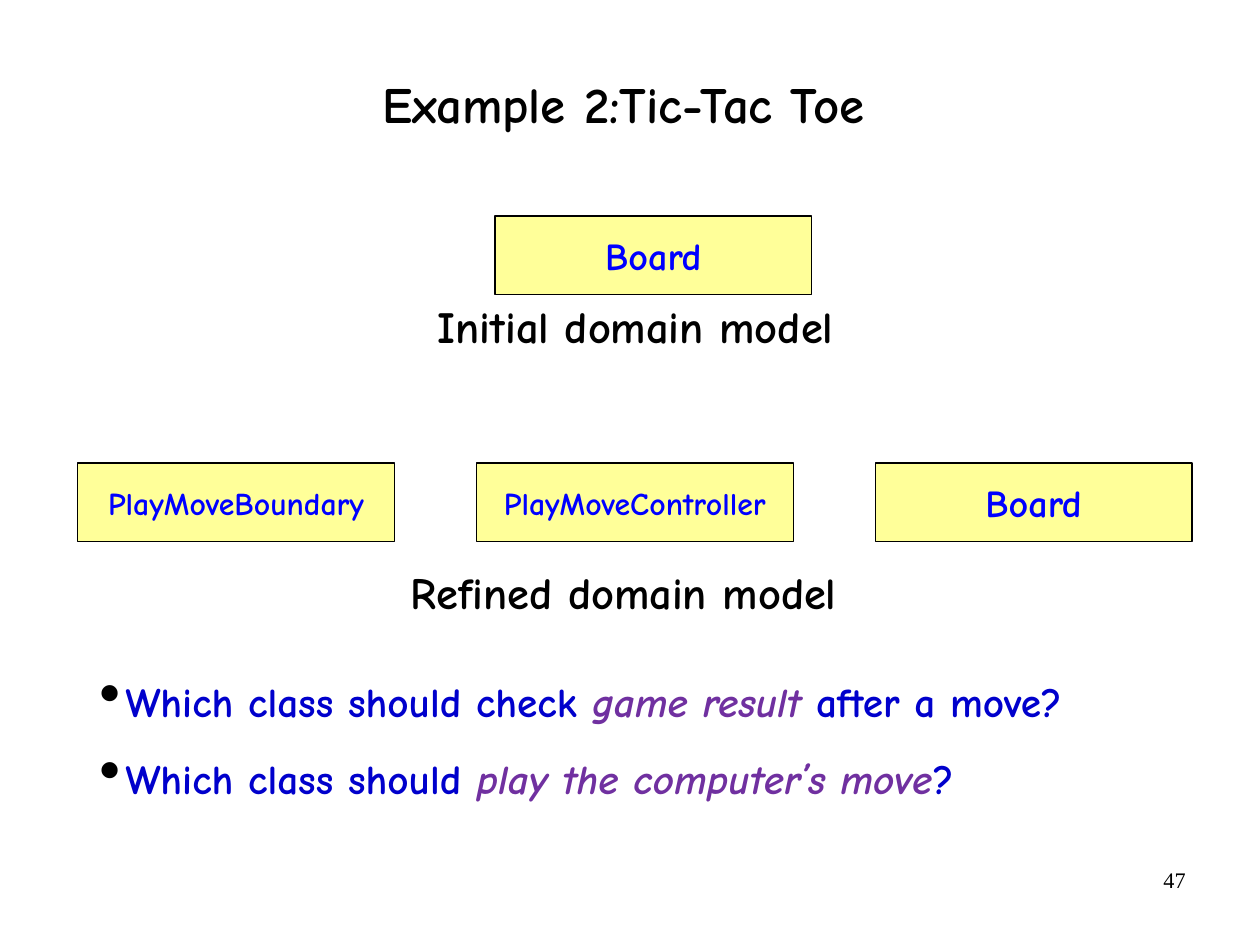
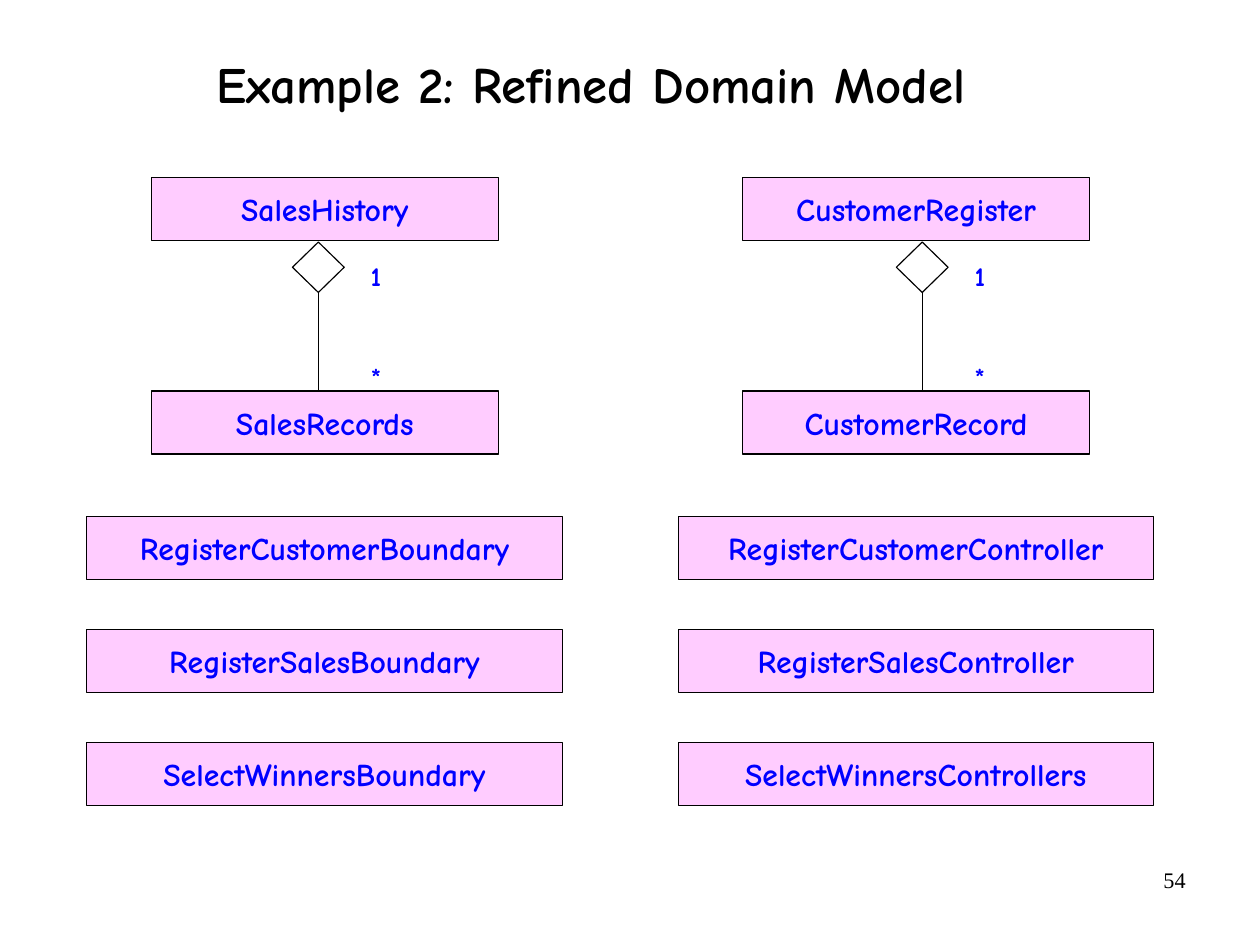
"""Build two slides on refining domain models."""
from dataclasses import dataclass

from lxml import etree
from pptx import Presentation
from pptx import util as u
from pptx.dml.color import RGBColor
from pptx.enum import shapes, text
from pptx.oxml.ns import qn


@dataclass(frozen=True)
class Theme:
    font: str = "Comic Neue"
    number_font: str = "Times New Roman"
    black: RGBColor = RGBColor(0x00, 0x00, 0x00)
    blue: RGBColor = RGBColor(0x00, 0x00, 0xFF)
    question: RGBColor = RGBColor(0x00, 0x00, 0xCC)
    purple: RGBColor = RGBColor(0x70, 0x30, 0xA0)
    yellow: RGBColor = RGBColor(0xFF, 0xFF, 0x99)
    pink: RGBColor = RGBColor(0xFF, 0xCC, 0xFF)
    title_size: int = 32
    caption_size: int = 28
    question_size: int = 26
    large_size: int = 24
    class_size: int = 20
    multiplicity_size: int = 17
    number_size: int = 14
    line_width: float = 0.75


theme = Theme()


def add_span(para, words, size, color, font=theme.font, bold=True, italic=False):
    span = para.add_run()
    span.text = words
    span.font.name = font
    span.font.size = u.Pt(size)
    span.font.bold = bold
    span.font.italic = italic
    span.font.color.rgb = color


def add_label(page, words, left, top, width, height, size, color, fill=None, wrap=True):
    area = [u.Cm(value) for value in (left, top, width, height)]
    if fill is None:
        box = page.shapes.add_textbox(*area)
    else:
        box = page.shapes.add_shape(shapes.MSO_SHAPE.RECTANGLE, *area)
        box.shadow.inherit = False
        box.fill.solid()
        box.fill.fore_color.rgb = fill
        box.line.color.rgb = theme.black
        box.line.width = u.Pt(theme.line_width)
    box.text_frame.word_wrap = wrap
    box.text_frame.vertical_anchor = text.MSO_ANCHOR.MIDDLE
    para = box.text_frame.paragraphs[0]
    para.alignment = text.PP_ALIGN.CENTER
    add_span(para, words, size, color)
    return box


deck = Presentation()
deck.slide_width = u.Cm(28)
deck.slide_height = u.Cm(21)

pages = []
for title, left, top, number in (
    ("Example 2:Tic-Tac Toe", 1.96, 0.56, "47"),
    ("Example 2: Refined Domain Model", 1.24, 0.13, "54"),
):
    page = deck.slides.add_slide(deck.slide_layouts[6])
    pages.append(page)
    box = add_label(page, title, left, top, 23.8, 3.6, theme.title_size, theme.black)
    box.text_frame.paragraphs[0].line_spacing = 0.94
    box = page.shapes.add_textbox(u.Cm(20.07), u.Cm(19.13), u.Cm(6.53), u.Cm(1.45))
    box.text_frame.word_wrap = True
    para = box.text_frame.paragraphs[0]
    para.alignment = text.PP_ALIGN.RIGHT
    add_span(para, number, theme.number_size, theme.black, theme.number_font, bold=False)

game_page, sales_page = pages

add_label(game_page, "Board", 11, 4.8, 7.04, 1.75, theme.large_size, theme.blue, theme.yellow)
for column, (name, size) in enumerate((
    ("PlayMoveBoundary", theme.class_size),
    ("PlayMoveController", theme.class_size),
    ("Board", theme.large_size),
)):
    add_label(game_page, name, 1.73 + 8.86 * column, 10.29, 7.04, 1.75,
              size, theme.blue, theme.yellow)
for caption, left, top, width in (
    ("Initial domain model", 9.45, 6.5, 9.35),
    ("Refined domain model", 8.84, 12.42, 10.03),
):
    add_label(game_page, caption, left, top, width, 1.47,
              theme.caption_size, theme.black, wrap=False)

box = game_page.shapes.add_textbox(u.Cm(1.96), u.Cm(14.68), u.Cm(25.6), u.Cm(3.28))
frame = box.text_frame
frame.word_wrap = True
for row, (opening, emphasis, ending) in enumerate((
    ("Which class should check ", "game result ", "after a move?"),
    ("Which class should ", "play the computer’s move", "?"),
)):
    para = frame.add_paragraph() if row else frame.paragraphs[0]
    para.line_spacing = 1.2
    para.space_after = u.Pt(10.9)
    props = para._p.get_or_add_pPr()
    props.set("marL", str(u.Cm(0.58)))
    props.set("indent", str(-u.Cm(0.58)))
    bullet_color = etree.SubElement(props, qn("a:buClr"))
    etree.SubElement(bullet_color, qn("a:srgbClr"), val=str(theme.black))
    etree.SubElement(props, qn("a:buSzPct"), val="150000")
    etree.SubElement(props, qn("a:buChar"), char="•")
    add_span(para, opening, theme.question_size, theme.question)
    add_span(para, emphasis, theme.question_size, theme.purple, italic=True)
    add_span(para, ending, theme.question_size, theme.question)

for column, (whole, part, classes) in enumerate((
    ("SalesHistory", "SalesRecords",
     ("RegisterCustomerBoundary", "RegisterSalesBoundary", "SelectWinnersBoundary")),
    ("CustomerRegister", "CustomerRecord",
     ("RegisterCustomerController", "RegisterSalesController", "SelectWinnersControllers")),
)):
    class_shift = 13.14 * column
    link_shift = 13.42 * column
    for name, top in ((whole, 3.94), (part, 8.69)):
        add_label(sales_page, name, 3.36 + class_shift, top, 7.72, 1.4,
                  theme.class_size, theme.blue, theme.pink)
    for row, name in enumerate(classes):
        add_label(sales_page, name, 1.93 + class_shift, 11.48 + 2.51 * row, 10.57, 1.4,
                  theme.class_size, theme.blue, theme.pink)

    diamond = sales_page.shapes.add_shape(
        shapes.MSO_SHAPE.DIAMOND, u.Cm(6.5 + link_shift), u.Cm(5.38), u.Cm(1.15), u.Cm(1.12))
    diamond.shadow.inherit = False
    diamond.fill.background()
    link_x = u.Cm(7.08 + link_shift)
    link = sales_page.shapes.add_connector(
        shapes.MSO_CONNECTOR.STRAIGHT, link_x, u.Cm(6.5), link_x, u.Cm(8.69))
    link.begin_connect(diamond, 2)
    link.end_x = link.begin_x
    etree.SubElement(link._element.spPr, qn("a:effectLst"))
    for outline in (diamond.line, link.line):
        outline.color.rgb = theme.black
        outline.width = u.Pt(theme.line_width)
    for multiplicity, top in (("1", 5.64), ("*", 7.87)):
        add_label(sales_page, multiplicity, 7.96 + link_shift, top, 0.79, 0.99,
                  theme.multiplicity_size, theme.blue, wrap=False)

deck.save("out.pptx")
